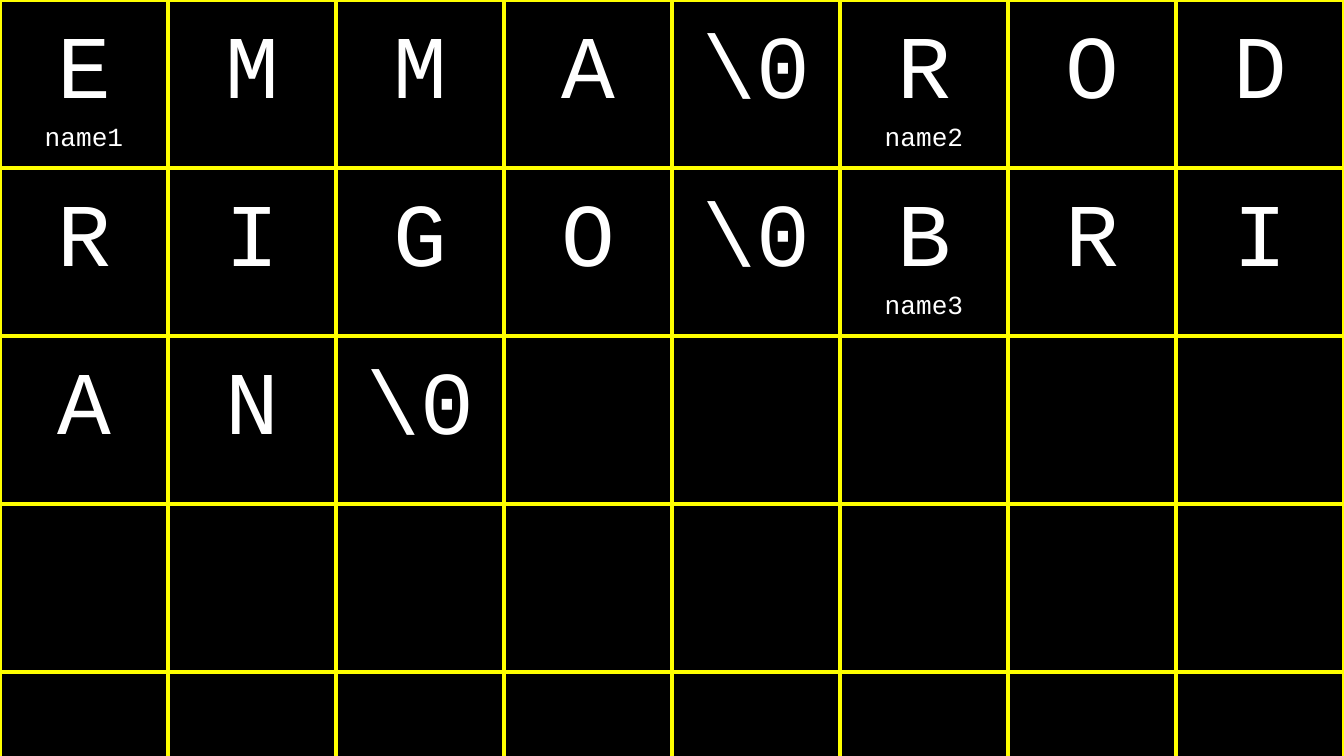
from dataclasses import dataclass

import pptx
import pptx.dml.color
import pptx.enum.text
import pptx.oxml
import pptx.oxml.ns
import pptx.table
import pptx.text.text
import pptx.util
from pptx.util import Inches

BLACK = pptx.dml.color.RGBColor(0, 0, 0)
WHITE = pptx.dml.color.RGBColor(255, 255, 255)
YELLOW = pptx.dml.color.RGBColor(255, 255, 0)

FONT = "Courier New"
SLIDE_WIDTH = 10
COLS, ROWS, CELL = 8, 5, 1.25
PAD = 0.1
LABEL_HEIGHT = 0.22  # one line at 14 pt
BORDER = pptx.util.Pt(3)


@dataclass
class Byte:
    char: str
    label: str = ""


def string_bytes(name: str, text: str) -> list[Byte]:
    """One byte per letter plus the terminator; the first carries the name."""
    chars = [*text, "\\0"]
    return [Byte(c, "" if i else name) for i, c in enumerate(chars)]


def write(p: pptx.text.text._Paragraph, text: str, *, size: int,
          color: pptx.dml.color.RGBColor = WHITE) -> None:
    p.alignment = pptx.enum.text.PP_ALIGN.CENTER
    r = p.add_run()
    r.text = text
    r.font.name = FONT
    r.font.size = pptx.util.Pt(size)
    r.font.color.rgb = color


def style_cell(cell: pptx.table._Cell) -> None:
    tc_pr = cell._tc.get_or_add_tcPr()
    for side in ("lnL", "lnR", "lnT", "lnB"):
        tc_pr.append(pptx.oxml.parse_xml(
            f'<a:{side} {pptx.oxml.ns.nsdecls("a")} w="{BORDER}"><a:solidFill>'
            f'<a:srgbClr val="{YELLOW}"/></a:solidFill></a:{side}>'))
    cell.fill.background()
    cell.margin_left = cell.margin_right = Inches(PAD)
    cell.margin_top = cell.margin_bottom = Inches(PAD)
    cell.vertical_anchor = pptx.enum.text.MSO_ANCHOR.BOTTOM


def fill_cell(cell: pptx.table._Cell, byte: Byte) -> None:
    tf = cell.text_frame
    write(tf.paragraphs[0], byte.char, size=48)
    if byte.label:
        write(tf.add_paragraph(), byte.label, size=14)
    else:
        cell.margin_bottom = Inches(PAD + LABEL_HEIGHT)


def main() -> None:
    prs = pptx.Presentation()
    prs.slide_width = Inches(SLIDE_WIDTH)
    prs.slide_height = Inches(SLIDE_WIDTH * 9 / 16)
    s = prs.slides.add_slide(prs.slide_layouts[6])
    s.background.fill.solid()
    s.background.fill.fore_color.rgb = BLACK

    # Memory grid
    table = s.shapes.add_table(ROWS, COLS, 0, 0, Inches(COLS * CELL),
                               Inches(ROWS * CELL)).table
    table.first_row = table.horz_banding = False
    for cell in table.iter_cells():
        style_cell(cell)

    # Strings laid end to end
    memory = (string_bytes("name1", "EMMA") + string_bytes("name2", "RODRIGO")
              + string_bytes("name3", "BRIAN"))
    for i, byte in enumerate(memory):
        fill_cell(table.cell(*divmod(i, COLS)), byte)

    prs.save("out.pptx")


if __name__ == "__main__":
    main()
